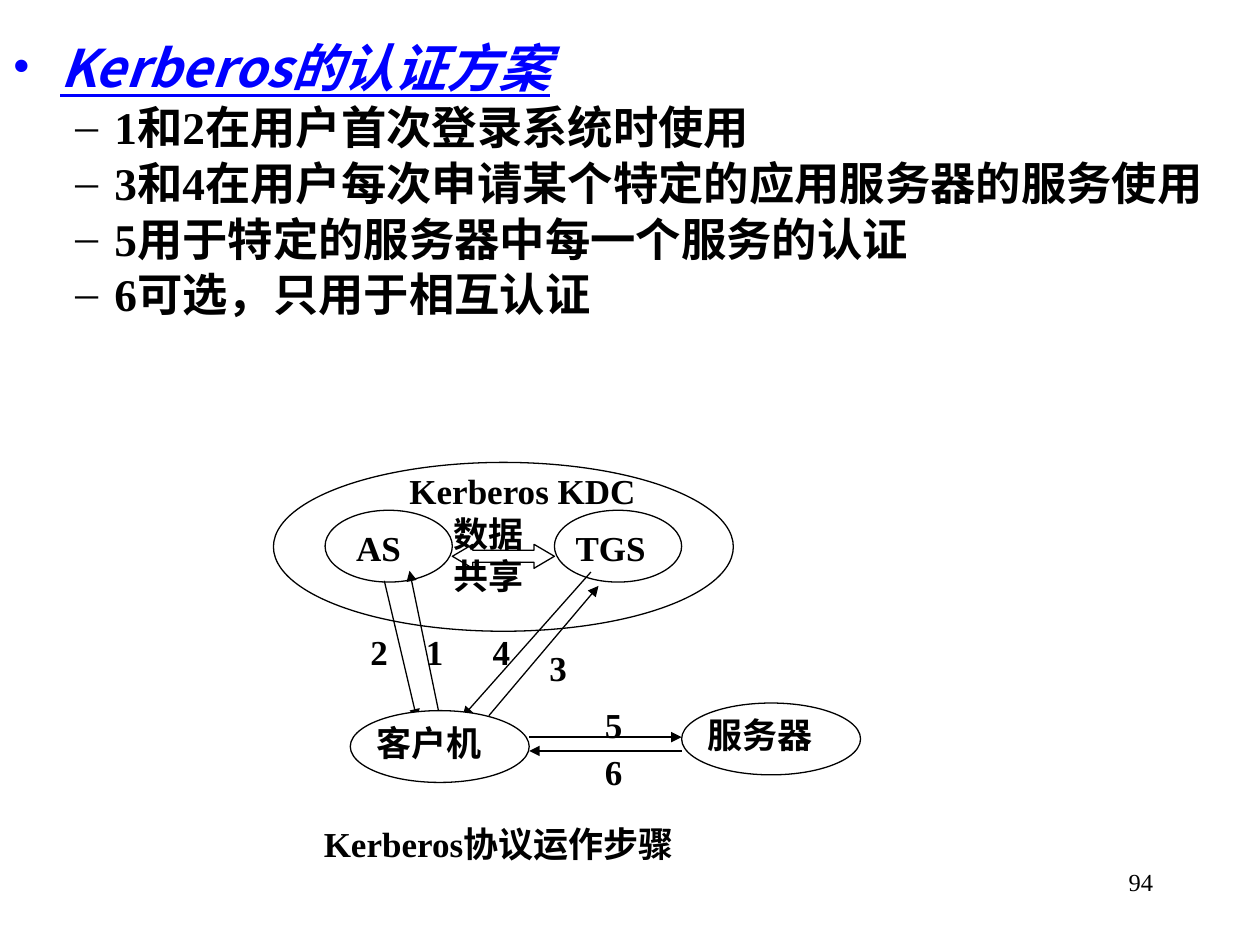
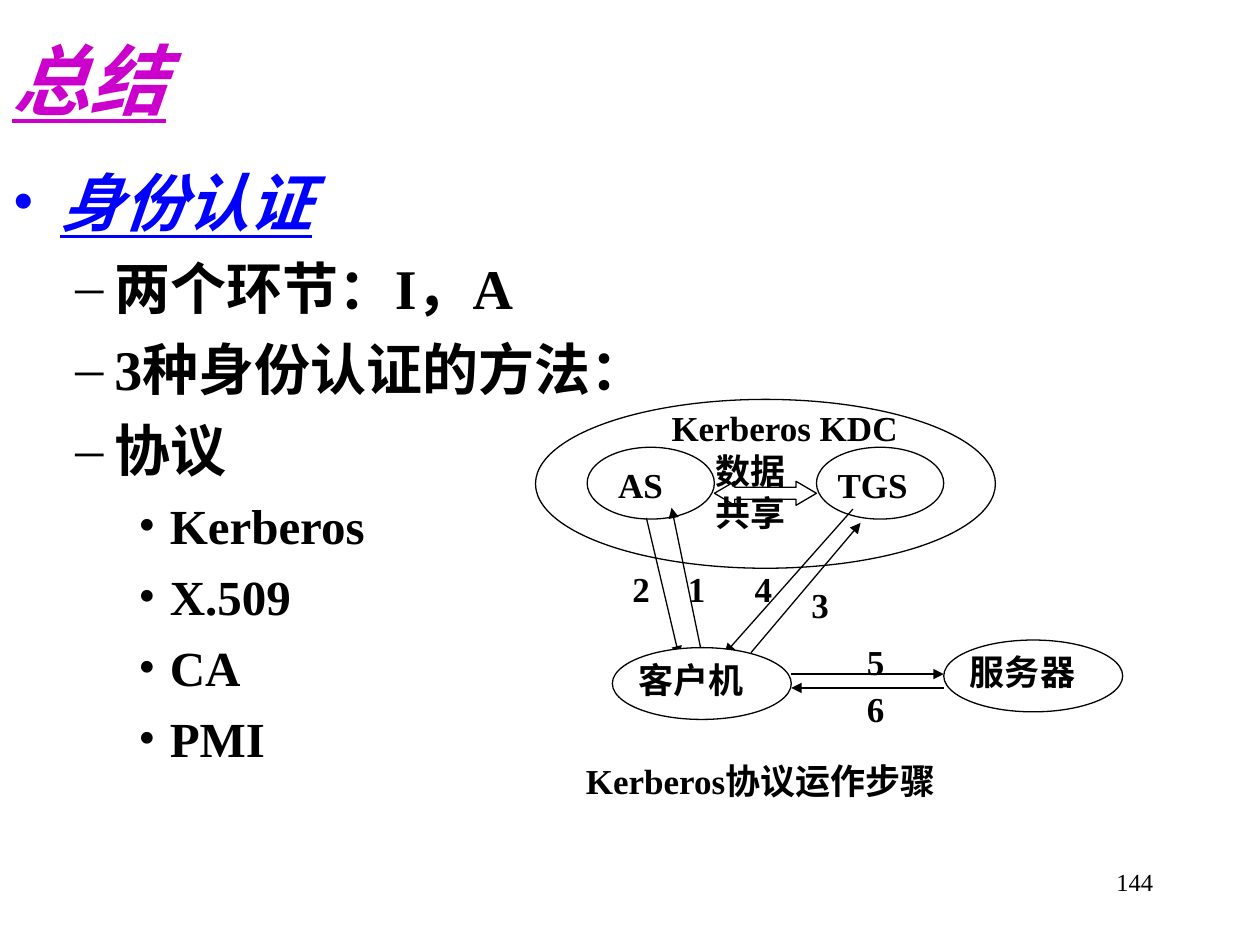
from lxml.etree import SubElement
from pptx import Presentation
from pptx.dml.color import RGBColor
from pptx.enum.shapes import MSO_CONNECTOR, MSO_SHAPE
from pptx.enum.text import MSO_ANCHOR, PP_ALIGN
from pptx.oxml.ns import qn
from pptx.util import Inches, Pt

CELL = Inches(0.1)
COLS, ROWS = 100, 75
COLORS = {"ink": "000000", "paper": "FFFFFF", "head": "0000FF", "title": "CC00CC"}
ROMAN, SANS = "Times New Roman", "Noto Sans CJK SC"
INDENT = [(3.8, -3.8), (8.1, -3.1), (12.5, -2.5)]
MARKS = "•–•"
STEPS = {
    "2": ((8.8, 9.4), (11.4, 20.4), (7.7, 13.3)),
    "1": ((13.1, 19.7), (10.8, 8.6), (12.1, 13.3)),
    "3": ((17.1, 20.1), (25.8, 9.8), (21.9, 14.6)),
    "4": ((25.2, 8.7), (15, 20.2), (17.4, 13.3)),
    "5": ((20.3, 21.8), (32.4, 21.8), (26.3, 19.1)),
    "6": ((32.4, 22.9), (20.3, 22.9), (26.3, 22.9)),
}


def cells(*counts):
    """Turn grid counts into lengths."""
    return [round(n * CELL) for n in counts]


def color(name):
    """Look up a named colour."""
    return RGBColor.from_string(COLORS[name])


def style(par, size, ink="ink", bold=True, fancy=False, face=ROMAN):
    """Set the font of a whole paragraph."""
    font = par.font
    font.size, font.bold, font.name = Pt(size), bold, face
    font.italic = font.underline = fancy
    font.color.rgb = color(ink)
    base = par._p.pPr.find(qn("a:defRPr"))
    east = SubElement(base, qn("a:ea"))
    east.set("typeface", SANS)


def bullet(par, level, ink):
    """Give a paragraph its indent and mark."""
    par.level = level
    props = par._p.get_or_add_pPr()
    left, hang = cells(*INDENT[level])
    props.set("marL", str(left))
    props.set("indent", str(hang))
    tint = SubElement(SubElement(props, qn("a:buClr")), qn("a:srgbClr"))
    tint.set("val", COLORS[ink])
    SubElement(props, qn("a:buFont")).set("typeface", ROMAN)
    SubElement(props, qn("a:buChar")).set("char", MARKS[level])


def pad(frame, side, top):
    """Wrap a frame and set its insets in cells."""
    frame.word_wrap = True
    frame.margin_left, frame.margin_right = cells(side, side)
    frame.margin_top, frame.margin_bottom = cells(top, top)


def write(frame, text, size=20, align=PP_ALIGN.JUSTIFY, side=0, top=0, **look):
    """Fill a frame with evenly styled lines."""
    pad(frame, side, top)
    frame.text = text
    for par in frame.paragraphs:
        par.alignment = align
        style(par, size, **look)


def label(shapes, box, text, **look):
    """Place a text box."""
    frame = shapes.add_textbox(*cells(*box)).text_frame
    write(frame, text, **look)
    return frame


def draw(shapes, kind, box, fill="paper"):
    """Place an outlined preset shape."""
    shape = shapes.add_shape(kind, *cells(*box))
    shape.shadow.inherit = False
    if fill:
        shape.fill.solid()
        shape.fill.fore_color.rgb = color(fill)
    else:
        shape.fill.background()
    shape.line.color.rgb, shape.line.width = color("ink"), Pt(0.75)
    return shape


def node(shapes, box, text, **look):
    """Place a labelled ellipse."""
    frame = draw(shapes, MSO_SHAPE.OVAL, box).text_frame
    frame.vertical_anchor = MSO_ANCHOR.TOP
    write(frame, text, **look)


def arrow(shapes, start, end):
    """Draw a thin line with a head at its end."""
    link = shapes.add_connector(MSO_CONNECTOR.STRAIGHT, *cells(*start, *end))
    link.line.color.rgb, link.line.width = color("ink"), Pt(0.75)
    SubElement(link.line._get_or_add_ln(), qn("a:tailEnd")).set("type", "triangle")
    SubElement(link._element.spPr, qn("a:effectLst"))


def diagram(slide, col, row):
    """Draw the protocol diagram from its top left cell."""
    shapes = slide.shapes.add_group_shape().shapes

    def at(x, y, *size):
        """Move a spot to the diagram's place."""
        return (col + x, row + y, *size)

    def step(name):
        """Draw the arrow of one step."""
        start, end, _ = STEPS[name]
        arrow(shapes, at(*start), at(*end))

    big, small = (14.2, 5.7), (10.1, 5.7)
    node(shapes, at(32.4, 19.1, *big), "服务器")
    node(shapes, at(4.1, 3.8, *small), "AS", side=1, top=0.5)
    node(shapes, at(22.3, 3.8, *small), "TGS", side=0.2, top=0.5)
    draw(shapes, MSO_SHAPE.OVAL, at(0, 0, 36.5, 13.4), fill=None)
    label(shapes, at(10.8, 0.6, 20.3, 5.8), "Kerberos KDC")
    for name in "2134":
        step(name)
    node(shapes, at(6.1, 19.7, *big), "客户机")
    for name in "56":
        step(name)
    for name, (_, _, spot) in STEPS.items():
        label(shapes, at(*spot, 2, 3.9), name)
    share = draw(shapes, MSO_SHAPE.LEFT_RIGHT_ARROW, at(14.2, 6.5, 8.1, 1.9))
    share.adjustments[0], share.adjustments[1] = 0.5, 0.85
    label(shapes, at(14.3, 4, 9.6, 5.2), "数据\n共享")
    label(shapes, at(4, 28.6, 40.6, 3.9), "Kerberos协议运作步骤")


def outline(slide, box, items, sizes, gaps, space=1.0, face=ROMAN):
    """Write a bulleted outline whose first level is a heading."""
    frame = slide.shapes.add_textbox(*cells(*box)).text_frame
    pad(frame, 1, 0.5)
    for i, (level, text) in enumerate(items):
        par = frame.add_paragraph() if i else frame.paragraphs[0]
        par.text = text
        par.line_spacing = space
        par.space_before = Pt(gaps[level] if i else 0)
        top = level == 0
        ink = "head" if top else "ink"
        bullet(par, level, ink)
        style(par, sizes[level], ink, fancy=top, face=face if top else ROMAN)


def footer(slide, number):
    """Write the page number."""
    label(slide.shapes, (71.7, 68.3, 20.8, 5), str(number), size=14,
          align=PP_ALIGN.RIGHT, side=1, top=0.5, bold=False)


def scheme(slide):
    """Build the slide on the authentication scheme."""
    items = [
        (0, "Kerberos的认证方案"),
        (1, "1和2在用户首次登录系统时使用"),
        (1, "3和4在用户每次申请某个特定的应用服务器的服务使用"),
        (1, "5用于特定的服务器中每一个服务的认证"),
        (1, "6可选，只用于相互认证"),
    ]
    outline(slide, (0, 3.3, COLS, 26.7), items, (29.6, 25.9), (8, 7), 0.8, SANS)
    diagram(slide, 21.7, 36.7)
    footer(slide, 94)


def summary(slide):
    """Build the summary slide."""
    head = label(slide.shapes, (0, 0, COLS, 12.5), "总结", size=44,
                 align=PP_ALIGN.LEFT, side=1, top=0.5, ink="title", fancy=True)
    head.vertical_anchor = MSO_ANCHOR.MIDDLE
    items = [(0, "身份认证")]
    items += [(1, text) for text in ("两个环节：I，A", "3种身份认证的方法：", "协议")]
    items += [(2, text) for text in ("Kerberos", "X.509", "CA", "PMI")]
    outline(slide, (0, 12.5, COLS, 62.5), items, (36, 32, 28), (9, 8, 7))
    diagram(slide, 42.5, 31.7)
    footer(slide, 144)


def main():
    """Build and save the deck."""
    deck = Presentation()
    deck.slide_width, deck.slide_height = cells(COLS, ROWS)
    for build in (scheme, summary):
        build(deck.slides.add_slide(deck.slide_layouts[6]))
    deck.save("out.pptx")


if __name__ == "__main__":
    main()
